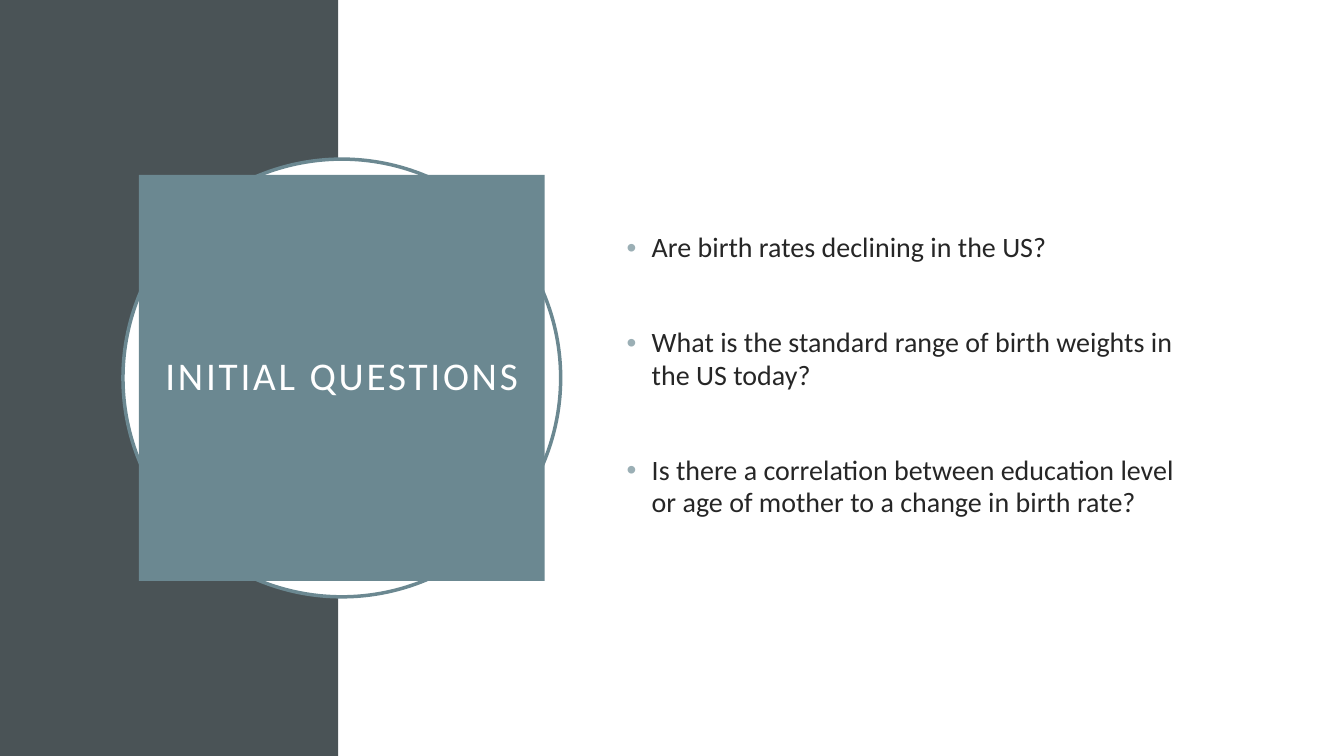
import pptx
import pptx.dml.color
import pptx.enum.shapes
import pptx.enum.text
import pptx.oxml
import pptx.oxml.ns
import pptx.util
from pptx.util import Cm, Pt

SHAPES = pptx.enum.shapes.MSO_SHAPE
MIDDLE = pptx.enum.text.MSO_ANCHOR.MIDDLE
FONT = "Calibri"
QUESTIONS = [
    "Are birth rates declining in the US?",
    "What is the standard range of birth weights in the US today?",
    "Is there a correlation between education level or age of mother to a change in birth rate?",
]


def color(value):
    """Return the colour for a hex string."""
    return pptx.dml.color.RGBColor.from_string(value)


def add_panel(page, kind, box, fill, line=None):
    """Add a flat filled shape in the box, outlined if a line colour is given."""
    panel = page.shapes.add_shape(kind, *box)
    panel.shadow.inherit = False
    panel.fill.solid()
    panel.fill.fore_color.rgb = color(fill)
    if line:
        panel.line.color.rgb = color(line)
        panel.line.width = Pt(2.5)
    else:
        panel.line.fill.background()
    return panel


def add_span(para, text, size, ink):
    """Add a run of text to the paragraph."""
    span = para.add_run()
    span.text = text
    span.font.name = FONT
    span.font.size = Pt(size)
    span.font.color.rgb = color(ink)
    return span


def add_bullet(para, ink):
    """Give the paragraph a hanging round bullet."""
    properties = para._p.get_or_add_pPr()
    properties.set("marL", str(Cm(0.635)))
    properties.set("indent", str(-Cm(0.635)))
    namespace = pptx.oxml.ns.nsdecls("a")
    for markup in (
        f'<a:buClr {namespace}><a:srgbClr val="{ink}"/></a:buClr>',
        f'<a:buFont {namespace} typeface="Arial"/>',
        f'<a:buChar {namespace} char="•"/>',
    ):
        properties.append(pptx.oxml.parse_xml(markup))


def add_title(page, box, text):
    """Place the title square over a slightly larger ring around the box."""
    left, top, width, height = box
    margin = Cm(0.4)
    ring = (left - margin, top - margin, width + 2 * margin, height + 2 * margin)
    add_panel(page, SHAPES.OVAL, ring, "FFFFFF", "6B8891")
    frame = add_panel(page, SHAPES.RECTANGLE, box, "6B8891").text_frame
    frame.word_wrap = True
    frame.vertical_anchor = MIDDLE
    frame.margin_left = frame.margin_right = Cm(0.5)
    frame.margin_top = frame.margin_bottom = Cm(0.5)
    para = frame.paragraphs[0]
    para.alignment = pptx.enum.text.PP_ALIGN.CENTER
    para.line_spacing = 0.9
    span = add_span(para, text, 28, "FFFFFF")
    span.font._element.set("spc", "200")


def add_questions(page, box, questions):
    """Place the bulleted questions, vertically centred in the box."""
    frame = page.shapes.add_textbox(*box).text_frame
    frame.word_wrap = True
    frame.vertical_anchor = MIDDLE
    for index, question in enumerate(questions):
        para = frame.add_paragraph() if index else frame.paragraphs[0]
        para.line_spacing = 0.97
        para.space_before = Pt(44.5 if index else 0)
        add_bullet(para, "9BAFB5")
        add_span(para, question, 20, "262626")


def main():
    """Build and save the deck."""
    deck = pptx.Presentation()
    deck.slide_width, deck.slide_height = Cm(33.87), Cm(19.05)
    page = deck.slides.add_slide(deck.slide_layouts[6])
    page.background.fill.solid()
    page.background.fill.fore_color.rgb = color("FFFFFF")
    split = Cm(8.53)
    add_panel(page, SHAPES.RECTANGLE, (0, 0, split, deck.slide_height), "4A5356")
    right = (split, 0, deck.slide_width - split, deck.slide_height)
    add_panel(page, SHAPES.RECTANGLE, right, "FFFFFF")
    add_title(page, (Cm(3.5), Cm(4.41), Cm(10.23), Cm(10.23)), "INITIAL QUESTIONS")
    add_questions(page, (Cm(15.54), Cm(3.89), Cm(14.78), Cm(11.15)), QUESTIONS)
    deck.save("out.pptx")


if __name__ == "__main__":
    main()
